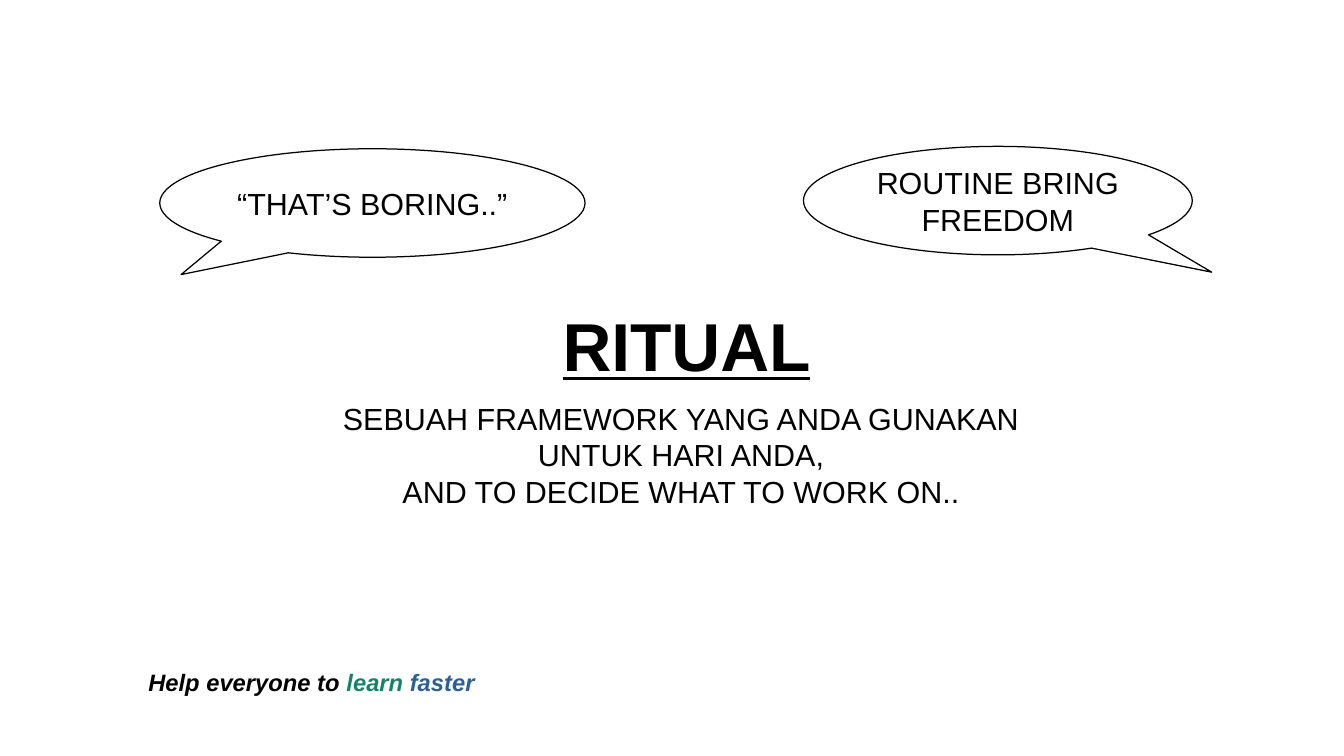
"""Build a slide that defines a ritual between two speech bubbles."""
from dataclasses import dataclass

from pptx import Presentation
from pptx.dml.color import RGBColor
from pptx.enum import shapes, text
from pptx.slide import Slide
from pptx.text.text import TextFrame
from pptx.util import Cm, Pt

BLACK = RGBColor(0x00, 0x00, 0x00)
WHITE = RGBColor(0xFF, 0xFF, 0xFF)
GREEN = RGBColor(0x15, 0x84, 0x66)
BLUE = RGBColor(0x2A, 0x60, 0x99)
CENTER = text.PP_ALIGN.CENTER


@dataclass(frozen=True)
class Box:
    left: float
    top: float
    width: float
    height: float

    def lengths(self) -> tuple[Cm, Cm, Cm, Cm]:
        return Cm(self.left), Cm(self.top), Cm(self.width), Cm(self.height)


@dataclass(frozen=True)
class Span:
    words: str
    color: RGBColor = BLACK


@dataclass(frozen=True)
class Style:
    size: int = 18
    bold: bool = False
    italic: bool = False
    underline: bool = False
    align: text.PP_ALIGN = CENTER


@dataclass(frozen=True)
class Label:
    box: Box
    lines: list[list[Span]]
    style: Style


@dataclass(frozen=True)
class Bubble:
    box: Box
    tail_x: float
    tail_y: float
    lines: list[list[Span]]


BUBBLES = [
    Bubble(Box(3.33, 3.1, 8.86, 2.26), -0.45, 0.66, [[Span("“THAT’S BORING..”")]]),
    Bubble(Box(16.74, 3.05, 8.1, 2.26), 0.55, 0.66,
           [[Span("ROUTINE BRING")], [Span("FREEDOM")]]),
]
LABELS = [
    Label(Box(2.84, 13.79, 8.81, 0.79),
          [[Span("Help everyone to "), Span("learn ", GREEN), Span("faster", BLUE)]],
          Style(14, bold=True, italic=True, align=text.PP_ALIGN.LEFT)),
    Label(Box(10.85, 6.2, 6.91, 2.01), [[Span("RITUAL")]],
          Style(40, bold=True, underline=True)),
    Label(Box(5.77, 8.2, 16.84, 1.65),
          [[Span("SEBUAH FRAMEWORK YANG ANDA GUNAKAN UNTUK HARI ANDA,")],
           [Span("AND TO DECIDE WHAT TO WORK ON..")]],
          Style()),
]


def write(tf: TextFrame, lines: list[list[Span]], style: Style) -> None:
    """Fill a text frame with one paragraph per line of spans."""
    for i, spans in enumerate(lines):
        p = tf.add_paragraph() if i else tf.paragraphs[0]
        p.alignment = style.align
        for span in spans:
            r = p.add_run()
            r.text = span.words
            r.font.name = "Arial"
            r.font.size = Pt(style.size)
            r.font.bold = style.bold
            r.font.italic = style.italic
            r.font.underline = style.underline
            r.font.color.rgb = span.color


def add_label(s: Slide, label: Label) -> None:
    """Add a wrapping text box."""
    tf = s.shapes.add_textbox(*label.box.lengths()).text_frame
    tf.word_wrap = True
    write(tf, label.lines, label.style)


def add_bubble(s: Slide, bubble: Bubble) -> None:
    """Add an oval speech bubble with its tail."""
    sp = s.shapes.add_shape(
        shapes.MSO_SHAPE.OVAL_CALLOUT, *bubble.box.lengths())
    sp.adjustments[0] = bubble.tail_x
    sp.adjustments[1] = bubble.tail_y
    sp.shadow.inherit = False
    sp.fill.solid()
    sp.fill.fore_color.rgb = WHITE
    sp.line.color.rgb = BLACK
    sp.line.width = Pt(0)
    tf = sp.text_frame
    tf.word_wrap = False
    tf.vertical_anchor = text.MSO_ANCHOR.MIDDLE
    write(tf, bubble.lines, Style())


def main() -> None:
    """Build and save the presentation."""
    prs = Presentation()
    prs.slide_width, prs.slide_height = Cm(28), Cm(15.75)
    s = prs.slides.add_slide(prs.slide_layouts[6])
    for label in LABELS:
        add_label(s, label)
    for bubble in BUBBLES:
        add_bubble(s, bubble)
    prs.save("out.pptx")


if __name__ == "__main__":
    main()
